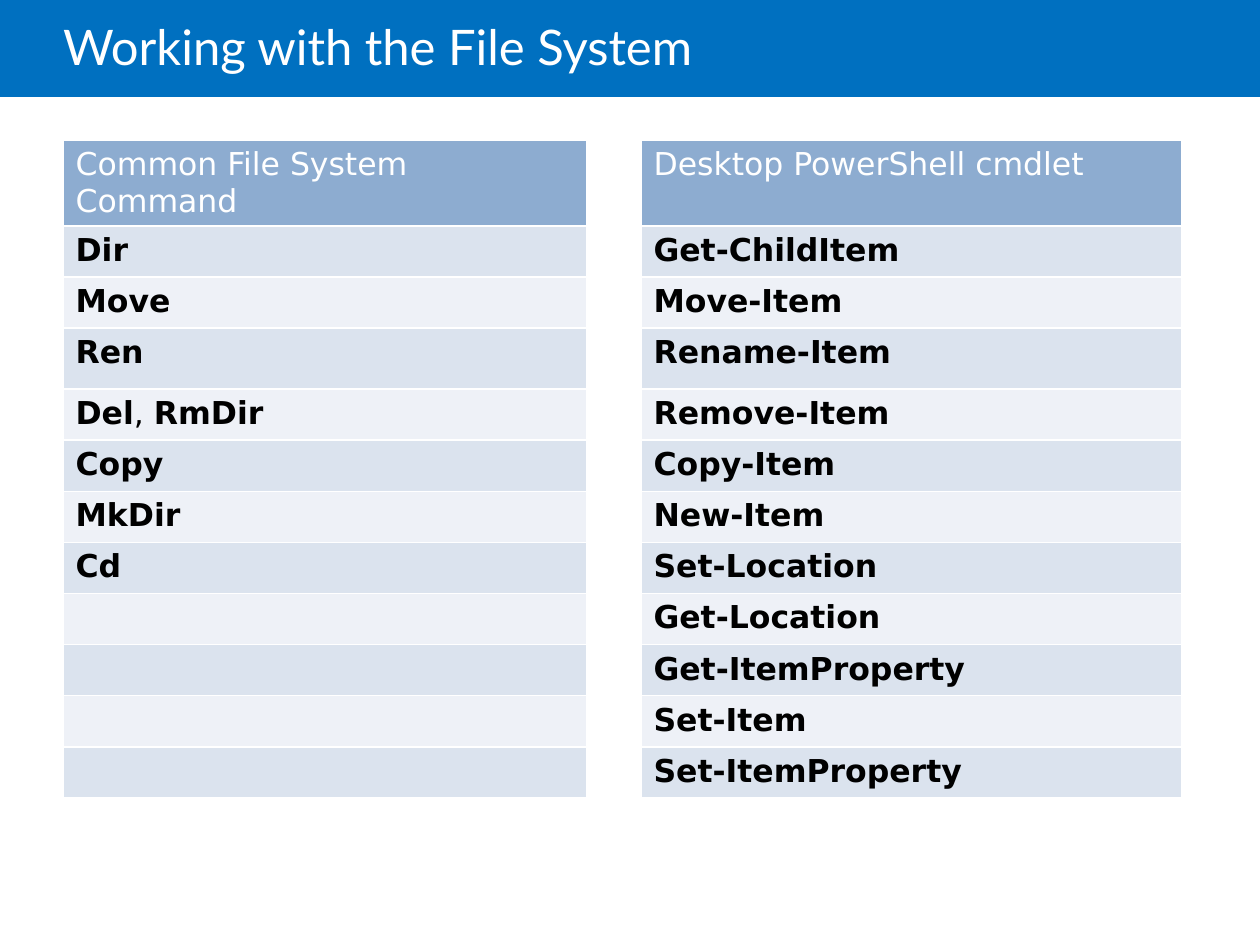
import lxml.etree
import pptx
import pptx.dml.color
import pptx.enum.shapes
import pptx.enum.text
import pptx.oxml.ns
import pptx.util

RGB = pptx.dml.color.RGBColor
WHITE = RGB(0xFF, 0xFF, 0xFF)
BLACK = RGB(0x00, 0x00, 0x00)
BANNER_BLUE = RGB(0x00, 0x70, 0xC0)
HEADER_BLUE = RGB(0x8D, 0xAC, 0xD0)
BANDS = (RGB(0xDB, 0xE3, 0xEE), RGB(0xEE, 0xF1, 0xF7))

HEADINGS = ("Common File System Command", "Desktop PowerShell cmdlet")
COMMANDS = (
    ("Dir", "Get-ChildItem"),
    ("Move", "Move-Item"),
    ("Ren", "Rename-Item"),
    ("Del, RmDir", "Remove-Item"),
    ("Copy", "Copy-Item"),
    ("MkDir", "New-Item"),
    ("Cd", "Set-Location"),
    ("", "Get-Location"),
    ("", "Get-ItemProperty"),
    ("", "Set-Item"),
    ("", "Set-ItemProperty"),
)
COLUMN_WIDTHS = (524, 54, 541)
HEADER_HEIGHT, ROW_HEIGHT, TALL_ROW_HEIGHT = 86, 51, 61
TALL_COMMAND = "Ren"


def px(length):
    """Turn picture pixels into EMU."""
    return pptx.util.Emu(round(length * 914400 / 126))


class CommandSlide:
    """The current slide and its style."""

    title_font, title_size = "Lato", 28
    body_font, body_size = "DejaVu Sans", 18

    def __init__(self, deck):
        """Add a title-only slide to the deck."""
        self.slide = deck.slides.add_slide(deck.slide_layouts[5])

    def add_run(self, paragraph, text, font, size, color, bold=False):
        """Append one formatted run."""
        run = paragraph.add_run()
        run.text = text
        run.font.name = font
        run.font.size = pptx.util.Pt(size)
        run.font.bold = bold
        run.font.color.rgb = color

    def banner(self, left, top, width, height):
        """Draw the title band behind the title."""
        band = self.slide.shapes.add_shape(
            pptx.enum.shapes.MSO_SHAPE.RECTANGLE,
            px(left), px(top), px(width), px(height))
        band.shadow.inherit = False
        band.fill.solid()
        band.fill.fore_color.rgb = BANNER_BLUE
        band.line.fill.background()
        self.slide.shapes.title.element.addprevious(band.element)

    def title(self, text, left, top, width, height):
        """Place and fill the title placeholder."""
        heading = self.slide.shapes.title
        heading.left, heading.top = px(left), px(top)
        heading.width, heading.height = px(width), px(height)
        frame = heading.text_frame
        frame.margin_left = 0
        frame.word_wrap = True
        frame.auto_size = pptx.enum.text.MSO_AUTO_SIZE.NONE
        frame.vertical_anchor = pptx.enum.text.MSO_ANCHOR.MIDDLE
        paragraph = frame.paragraphs[0]
        paragraph.alignment = pptx.enum.text.PP_ALIGN.LEFT
        paragraph.line_spacing = 0.85
        self.add_run(paragraph, text, self.title_font, self.title_size, WHITE)

    def borders(self, cell):
        """Give a cell thin white borders."""
        properties = cell._tc.get_or_add_tcPr()
        for side in "LRTB":
            line = lxml.etree.SubElement(
                properties, pptx.oxml.ns.qn("a:ln" + side),
                w=str(pptx.util.Pt(1)))
            fill = lxml.etree.SubElement(line, pptx.oxml.ns.qn("a:solidFill"))
            lxml.etree.SubElement(
                fill, pptx.oxml.ns.qn("a:srgbClr"), val=str(WHITE))

    def cell(self, cell, text, fill, color, bold):
        """Fill a cell; commas between commands stay regular."""
        cell.fill.solid()
        cell.fill.fore_color.rgb = fill
        paragraph = cell.text_frame.paragraphs[0]
        paragraph.font.size = pptx.util.Pt(self.body_size)
        for index, part in enumerate(text.split(", ") if text else ()):
            if index:
                self.add_run(paragraph, ", ", self.body_font, self.body_size, color)
            self.add_run(paragraph, part, self.body_font, self.body_size, color, bold)

    def command_table(self, left, top):
        """Build the two command lists, parted by a clear column."""
        heights = [HEADER_HEIGHT] + [
            TALL_ROW_HEIGHT if command == TALL_COMMAND else ROW_HEIGHT
            for command, cmdlet in COMMANDS]
        table = self.slide.shapes.add_table(
            len(heights), len(COLUMN_WIDTHS), px(left), px(top),
            px(sum(COLUMN_WIDTHS)), px(sum(heights))).table
        table.first_row = table.horz_banding = False
        for column, width in zip(table.columns, COLUMN_WIDTHS):
            column.width = px(width)
        for index, texts in enumerate((HEADINGS,) + COMMANDS):
            table.rows[index].height = px(heights[index])
            is_header = index == 0
            fill = HEADER_BLUE if is_header else BANDS[(index - 1) % 2]
            color = WHITE if is_header else BLACK
            command, gap, cmdlet = table.rows[index].cells
            for cell in (command, gap, cmdlet):
                self.borders(cell)
            gap.fill.background()
            for cell, text in zip((command, cmdlet), texts):
                self.cell(cell, text, fill, color, not is_header)


def main():
    """Build and save the deck."""
    deck = pptx.Presentation()
    deck.slide_width, deck.slide_height = px(1260), px(945)
    page = CommandSlide(deck)
    page.banner(0, 0, 1260, 97)
    page.title("Working with the File System", 63, 0, 1071, 102)
    page.command_table(63, 140)
    deck.save("out.pptx")


main()
